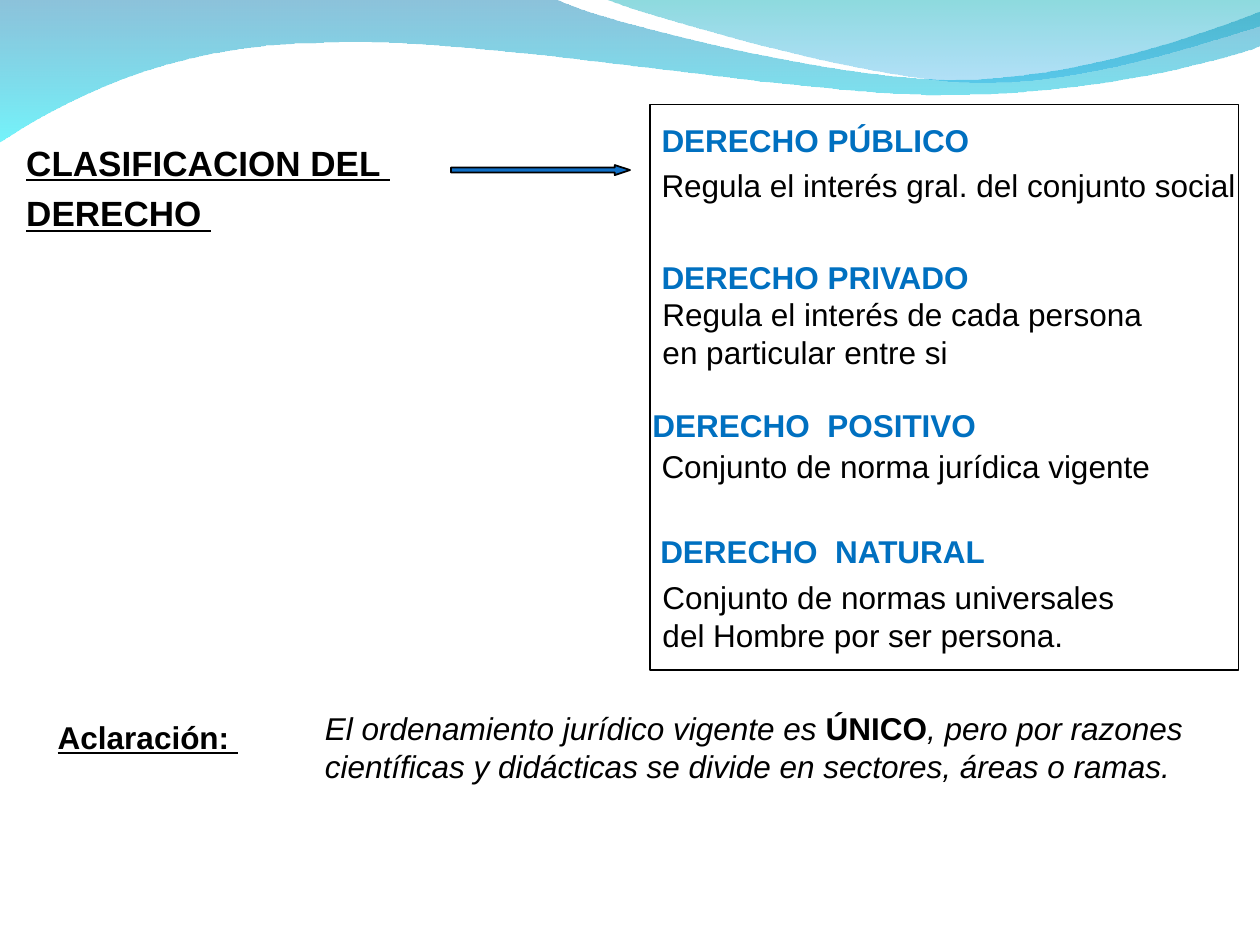
from lxml import etree
from pptx import Presentation
from pptx.dml.color import RGBColor
from pptx.enum.shapes import MSO_SHAPE
from pptx.enum.text import MSO_ANCHOR
from pptx.oxml.ns import qn
from pptx.util import Inches, Pt

RECTANGLE = MSO_SHAPE.RECTANGLE
RIGHT_ARROW = MSO_SHAPE.RIGHT_ARROW
TOP, BOTTOM = MSO_ANCHOR.TOP, MSO_ANCHOR.BOTTOM
BLACK, BLUE = "000000", "0070C0"

# Each wave: start point, then points (2 numbers) or Bezier curves (6 numbers)
BACK_WAVE = [
    (0, -0.01), (4.4, -0.01),
    (4.76, 0.17, 6.64, 0.63, 7.58, 0.63), (8.53, 0.63, 9.58, 0.26, 10, 0.09),
    (10.01, 0.36),
    (9.83, 0.44, 8.7, 0.76, 7.46, 0.75), (6.22, 0.75, 3.82, 0.28, 2.57, 0.34),
    (1.29, 0.35, 0.46, 0.83, -0.01, 1.13),
]
FRONT_WAVE = [
    (4.79, -0.01),
    (5.09, 0.11, 6.82, 0.62, 7.69, 0.65), (8.56, 0.69, 9.61, 0.32, 10, 0.21),
    (10, 0),
]


def rgb(color):
    return RGBColor.from_string(color)


def bend(sp, steps):
    """Turn the line segments of a freeform into its Bezier curves."""
    segments = list(sp._element.spPr.iter(qn("a:lnTo")))
    for segment, step in zip(segments, steps):
        if len(step) == 2:
            continue
        curve = etree.Element(qn("a:cubicBezTo"))
        for x, y in zip(step[::2], step[1::2]):
            pt = etree.SubElement(curve, qn("a:pt"))
            pt.set("x", str(Inches(x) - sp.left))
            pt.set("y", str(Inches(y) - sp.top))
        segment.getparent().replace(segment, curve)


def add_wave(slide, path, stops):
    """Stops are (colour, opacity in percent), from top to bottom."""
    ends = [(Inches(step[-2]), Inches(step[-1])) for step in path]
    builder = slide.shapes.build_freeform(*ends[0], scale=1.0)
    builder.add_line_segments(ends[1:], close=True)
    sp = builder.convert_to_shape()
    bend(sp, path[1:])
    sp.shadow.inherit = False
    sp.line.fill.background()
    sp.fill.gradient()
    sp.fill.gradient_angle = 270
    for stop, position, (color, _) in zip(sp.fill.gradient_stops, (0, 1), stops):
        stop.position = position
        stop.color.rgb = rgb(color)
    colors = list(sp._element.spPr.iter(qn("a:srgbClr")))
    for element, (_, opacity) in zip(colors, stops):
        etree.SubElement(element, qn("a:alpha")).set("val", str(opacity * 1000))


def add_outlined_shape(slide, kind, left, top, width, height, fill=None):
    sp = slide.shapes.add_shape(
        kind, Inches(left), Inches(top), Inches(width), Inches(height))
    sp.shadow.inherit = False
    if fill:
        sp.fill.solid()
        sp.fill.fore_color.rgb = rgb(fill)
    else:
        sp.fill.background()
    sp.line.color.rgb = rgb(BLACK)
    sp.line.width = Pt(1)
    return sp


def format_run(r, size=18, color=BLACK, bold=False, underline=False, italic=False):
    r.font.name = "Arial"
    r.font.size = Pt(size)
    r.font.color.rgb = rgb(color)
    r.font.bold = bold
    r.font.underline = underline
    r.font.italic = italic


def add_text(slide, left, top, width, height, text, indent=0, anchor=TOP, **style):
    box = slide.shapes.add_textbox(
        Inches(left), Inches(top), Inches(width), Inches(height))
    tf = box.text_frame
    tf.word_wrap = True
    tf.vertical_anchor = anchor
    tf.margin_left = Inches(0.1 + indent)
    tf.text = text
    for p in tf.paragraphs:
        for r in p.runs:
            format_run(r, **style)
    return tf


def add_title(slide):
    tf = add_text(slide, 0, 1.07, 5, 4.01, "CLASIFICACION DEL \nDERECHO ",
                  size=20, bold=True, underline=True)
    for p in tf.paragraphs:
        p.space_before = Pt(5)
        p_pr = p._p.get_or_add_pPr()
        p_pr.set("marL", str(Inches(0.32)))
        p_pr.set("indent", str(Inches(-0.21)))


def add_public_and_private(slide):
    text = ("DERECHO PÚBLICO\nRegula el interés gral. del conjunto social\n"
            "DERECHO PRIVADO")
    tf = add_text(slide, 5.08, 0.91, 4.92, 4.64, text, indent=0.07)
    for p, gap in zip(tf.paragraphs, (4.5, 4.5, 30.7)):
        p.space_before = Pt(gap)
        if p.text.startswith("DERECHO"):
            format_run(p.runs[0], color=BLUE, bold=True)


def add_note(slide):
    p = add_text(slide, 2.48, 5.58, 7.52, 1.54, "").paragraphs[0]
    for text, key in [
        ("El ordenamiento jurídico vigente es ", False),
        ("ÚNICO", True),
        (", pero por razones científicas y didácticas se divide en "
         "sectores, áreas o ramas.", False),
    ]:
        r = p.add_run()
        r.text = text
        format_run(r, bold=key, italic=not key)


def main():
    prs = Presentation()
    prs.slide_width, prs.slide_height = Inches(10), Inches(7.5)
    slide = prs.slides.add_slide(prs.slide_layouts[6])

    add_wave(slide, BACK_WAVE, [("0079AF", 45), ("00EBF8", 55)])
    add_wave(slide, FRONT_WAVE, [("00ADB6", 45), ("009BE5", 30)])

    add_title(slide)
    add_public_and_private(slide)
    add_text(slide, 0.36, 5.65, 3.39, 0.4, "Aclaración: ", bold=True, underline=True)
    add_note(slide)

    add_outlined_shape(slide, RECTANGLE, 5.16, 0.83, 4.67, 4.49)
    arrow = add_outlined_shape(slide, RIGHT_ARROW, 3.58, 1.31, 1.42, 0.08, "0F6FC6")
    arrow.adjustments[1] = 1.51

    add_text(slide, 5.08, 2.87, 3.99, 0.7, "DERECHO  POSITIVO",
             anchor=BOTTOM, color=BLUE, bold=True)
    add_text(slide, 5, 3.57, 3.49, 1, "DERECHO  NATURAL",
             indent=0.14, anchor=BOTTOM, color=BLUE, bold=True)
    add_text(slide, 5.16, 2.29, 4.84, 0.7,
             "Regula el interés de cada persona\nen particular entre si")
    add_text(slide, 5.08, 3.2, 4.35, 0.7, "Conjunto de norma jurídica vigente",
             indent=0.07, anchor=BOTTOM)
    add_text(slide, 5.16, 4.54, 4.17, 0.7,
             "Conjunto de normas universales del Hombre por ser persona.")
    prs.save("out.pptx")


if __name__ == "__main__":
    main()
